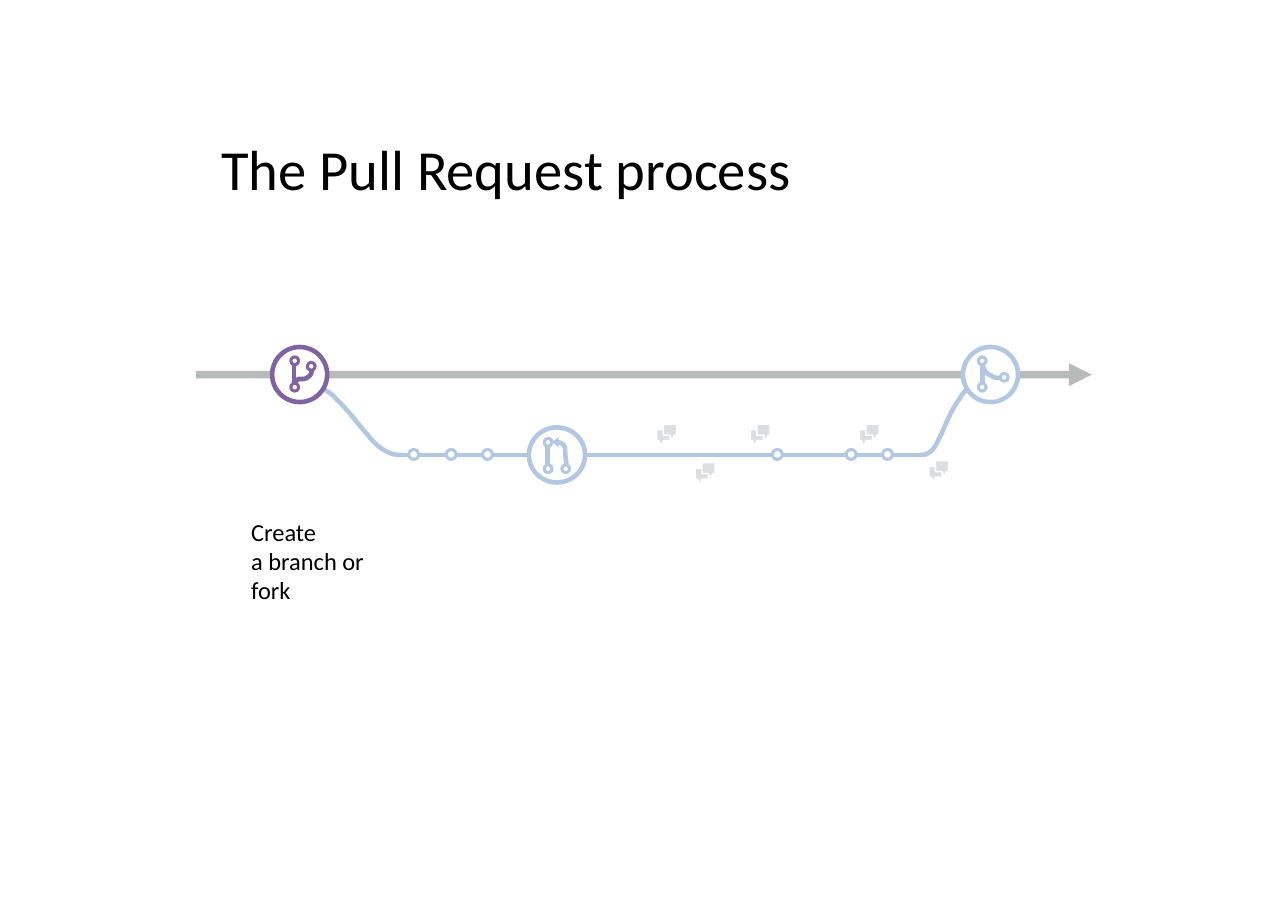
from dataclasses import dataclass

import pptx
import pptx.dml.color
import pptx.enum.shapes
import pptx.enum.text
import pptx.oxml
import pptx.oxml.ns
import pptx.util

Point = tuple[float, float]
RGBColor = pptx.dml.color.RGBColor

PX = 9144  # EMU per px, 100 px to the inch
WHITE = RGBColor(0xFF, 0xFF, 0xFF)
BLACK = RGBColor(0x00, 0x00, 0x00)
GREY = RGBColor(0xA6, 0xAA, 0xA9)
BLUE = RGBColor(0xB3, 0xC8, 0xE0)
PURPLE = RGBColor(0x80, 0x64, 0xA2)
BUBBLE_GREY = RGBColor(0xDC, 0xDE, 0xE0)
FONT = "Calibri"

TRACK_Y = 413
COMMIT_SIZE = 9
RING_SIZE = 7
CURVE_STEPS = 12


@dataclass
class Node:
    """A round step icon; inner parts are offsets from its corner."""
    left: int
    top: int
    width: int
    color: RGBColor
    rings: list[Point]
    stem: tuple[int, int, int]  # x, bottom, top
    curve: list[Point]
    arrow: list[Point]


MERGE = Node(874, 315, 50, BLUE, [(34, 24), (14, 9), (14, 33)], (18, 33, 16),
             [(18, 17), (19, 21), (22, 25), (26, 26),
              (28, 28), (31, 28), (34, 28)], [])
PULL_REQUEST = Node(480, 388, 51, BLUE, [(30, 34), (14, 10), (14, 34)], (17, 33, 17),
                    [(26, 14), (27, 13), (28, 14), (29, 14),
                     (31, 15), (32, 16), (32, 17),
                     (33, 18), (33, 20), (33, 22),
                     (33, 26), (34, 30), (34, 34)],
                    [(21, 13), (27, 9), (27, 18)])
BRANCH = Node(247, 315, 50, PURPLE, [(32, 14), (17, 9), (17, 33)], (20, 33, 16),
              [(36, 21), (36, 25), (33, 28), (29, 29),
               (27, 29), (25, 29), (24, 29),
               (22, 30), (21, 32), (21, 33)], [])

BRANCH_CURVE = [(293, 353), (297, 355), (302, 358), (305, 362),
                (316, 372), (324, 384), (334, 395),
                (340, 403), (347, 409), (356, 412),
                (359, 413), (362, 413), (366, 413)]
MERGE_CURVE = [(878, 353), (876, 355), (873, 358), (871, 362),
               (864, 371), (859, 384), (854, 395),
               (850, 403), (847, 410), (841, 412),
               (839, 413), (837, 413), (835, 413)]
COMMITS = [371, 405, 438, 701, 768, 801]
TRACK_PARTS = [(384, 399), (418, 433), (453, 481), (530, 697),
               (716, 763), (781, 796), (814, 838)]
COMMENTS = [(596, 390), (631, 425), (681, 390), (780, 390), (843, 423)]
BUBBLE = [(0, 0), (12, 0), (12, 10), (6, 10), (4, 15), (2, 10), (0, 10)]

prs = pptx.Presentation()
prs.slide_width, prs.slide_height = 1169 * PX, 826 * PX
slide = prs.slides.add_slide(prs.slide_layouts[6])


def paint(sp, fill: RGBColor | None, line: RGBColor | None, width: float = 1) -> None:
    sp.shadow.inherit = False
    if fill is None:
        sp.fill.background()
    else:
        sp.fill.solid()
        sp.fill.fore_color.rgb = fill
    if line is None:
        sp.line.fill.background()
    else:
        sp.line.color.rgb = line
        sp.line.width = pptx.util.Pt(width)


def add_ellipse(left: int, top: int, width: int, height: int, line: RGBColor,
                weight: float, fill: RGBColor | None = None) -> None:
    sp = slide.shapes.add_shape(pptx.enum.shapes.MSO_SHAPE.OVAL,
                                left * PX, top * PX, width * PX, height * PX)
    paint(sp, fill, line, weight)


def add_line(x1: int, y1: int, x2: int, y2: int, color: RGBColor, weight: float):
    sp = slide.shapes.add_connector(pptx.enum.shapes.MSO_CONNECTOR.STRAIGHT,
                                    x1 * PX, y1 * PX, x2 * PX, y2 * PX)
    sp.line.color.rgb = color
    sp.line.width = pptx.util.Pt(weight)
    sp._element.spPr.append(pptx.oxml.parse_xml(
        f'<a:effectLst {pptx.oxml.ns.nsdecls("a")}/>'))
    return sp


def add_outline(points: list[Point], closed: bool, fill: RGBColor | None,
                line: RGBColor | None, weight: float = 1) -> None:
    (x, y), *rest = [(px * PX, py * PX) for px, py in points]
    builder = slide.shapes.build_freeform(x, y, scale=1.0)
    builder.add_line_segments(rest, close=closed)
    paint(builder.convert_to_shape(), fill, line, weight)


def add_curve(controls: list[Point], color: RGBColor) -> None:
    """Draw a chain of cubic curves; each one starts where the last ended."""
    points = [controls[0]]
    for i in range(0, len(controls) - 1, 3):
        p0, p1, p2, p3 = controls[i:i + 4]
        for step in range(1, CURVE_STEPS + 1):
            t = step / CURVE_STEPS
            u = 1 - t
            points.append(tuple(
                u**3 * a + 3 * u * u * t * b + 3 * u * t * t * c + t**3 * d
                for a, b, c, d in zip(p0, p1, p2, p3)))
    add_outline(points, False, None, color, 3)


def shift(points: list[Point], left: int, top: int) -> list[Point]:
    return [(left + x, top + y) for x, y in points]


def add_node(node: Node) -> None:
    add_ellipse(node.left, node.top, node.width, 50, node.color, 3, WHITE)
    for x, y in shift(node.rings, node.left, node.top):
        add_ellipse(x, y, RING_SIZE, RING_SIZE, node.color, 2)
    x, bottom, top = node.stem
    add_line(node.left + x, node.top + bottom, node.left + x, node.top + top, node.color, 3)
    add_curve(shift(node.curve, node.left, node.top), node.color)
    if node.arrow:
        add_outline(shift(node.arrow, node.left, node.top), True, node.color, None)


def add_commit(left: int) -> None:
    add_ellipse(left, 408, COMMIT_SIZE, COMMIT_SIZE, BLUE, 2)
    for start in (left - 6, left + COMMIT_SIZE):
        add_line(start, TRACK_Y, start + 7, TRACK_Y, BLUE, 3)


def add_comment(left: int, top: int) -> None:
    mirrored = [(12 - x, y) for x, y in BUBBLE]
    add_outline(shift(BUBBLE, left, top), True, BUBBLE_GREY, WHITE)
    add_outline(shift(mirrored, left + 6, top - 5), True, BUBBLE_GREY, WHITE)


def add_text(text: str, left: int, top: int, width: int, height: int, *,
             size: int, inset: int = 3, grow: bool = False) -> None:
    tf = slide.shapes.add_textbox(left * PX, top * PX, width * PX, height * PX).text_frame
    tf.word_wrap = True
    sizing = pptx.enum.text.MSO_AUTO_SIZE
    tf.auto_size = sizing.SHAPE_TO_FIT_TEXT if grow else sizing.NONE
    tf.vertical_anchor = pptx.enum.text.MSO_ANCHOR.MIDDLE
    tf.margin_left = inset * PX
    tf.margin_top = tf.margin_right = tf.margin_bottom = 3 * PX
    tf.text = text
    for p in tf.paragraphs:
        for r in p.runs:
            r.font.name = FONT
            r.font.size = pptx.util.Pt(size)
            r.font.color.rgb = BLACK


# Main line: translucent, with an arrowhead
main_line = add_line(178, 340, 991, 340, GREY, 5)
ns = pptx.oxml.ns.nsdecls("a")
ln = main_line.line._get_or_add_ln()
ln.find(".//" + pptx.oxml.ns.qn("a:srgbClr")).append(
    pptx.oxml.parse_xml(f'<a:alpha {ns} val="80000"/>'))
ln.append(pptx.oxml.parse_xml(f'<a:tailEnd {ns} type="triangle"/>'))

# Branch track with its commits
add_curve(BRANCH_CURVE, BLUE)
add_curve(MERGE_CURVE, BLUE)
for x1, x2 in TRACK_PARTS:
    add_line(x1, TRACK_Y, x2, TRACK_Y, BLUE, 3)
for commit_left in COMMITS:
    add_commit(commit_left)

# Review comments
for comment_left, comment_top in COMMENTS:
    add_comment(comment_left, comment_top)

# Steps
for step_node in (MERGE, PULL_REQUEST, BRANCH):
    add_node(step_node)

# Caption and title
add_text("Create\na branch or fork", 225, 465, 135, 88, size=16, grow=True)
add_text("The Pull Request process", 186, 94, 798, 117, size=37, inset=15)

prs.save("out.pptx")
